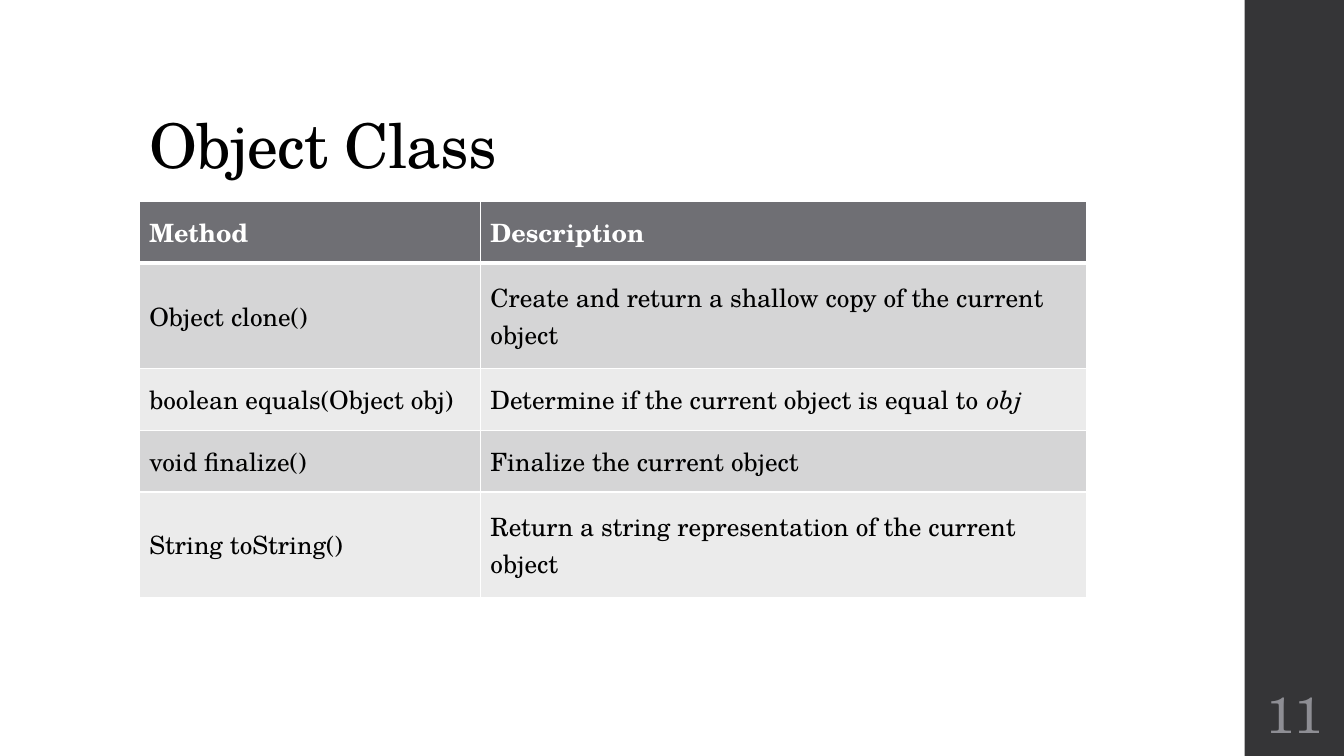
from lxml import etree
from pptx import Presentation
from pptx.dml.color import RGBColor
from pptx.enum import shapes, text
from pptx.oxml import ns
from pptx.util import Pt

FONT = "TeX Gyre Schola"
WHITE, BLACK, DARK, GRAY = "FFFFFF", "000000", "353537", "8E8E94"
HEADER, BANDS = "6F6F74", ("D5D5D6", "EBEBEB")

METHODS = [
    ("Method", "Description"),
    ("Object clone()", "Create and return a shallow copy of the current object"),
    ("boolean equals(Object obj)", "Determine if the current object is equal to\u00a0"),
    ("void finalize()", "Finalize the current object"),
    ("String toString()", "Return a string representation of the current object"),
]
ITALIC_ENDINGS = {(2, 1): "obj"}
COLUMN_SHARES = (0.36, 0.64)
ROW_HEIGHTS = (44, 75.5, 44, 44, 75.5)


def color(hex_string):
    return RGBColor.from_string(hex_string)


def format_runs(paragraph, size, hex_string, bold=False):
    for run in paragraph.runs:
        run.font.name = FONT
        run.font.size = Pt(size)
        run.font.bold = bold
        run.font.color.rgb = color(hex_string)


def set_borders(cell, bottom, top):
    properties = cell._tc.get_or_add_tcPr()
    for side, width in (("L", 1), ("R", 1), ("T", top), ("B", bottom)):
        line = etree.SubElement(properties, ns.qn(f"a:ln{side}"), w=str(Pt(width)))
        fill = etree.SubElement(line, ns.qn("a:solidFill"))
        etree.SubElement(fill, ns.qn("a:srgbClr"), val=WHITE)


def add_title(slide, left, top, width, height):
    title = slide.shapes.title
    title.left, title.top, title.width, title.height = map(Pt, (left, top, width, height))
    frame = title.text_frame
    frame.text = "Object Class"
    frame.auto_size = text.MSO_AUTO_SIZE.NONE
    frame.vertical_anchor = text.MSO_ANCHOR.BOTTOM
    paragraph = frame.paragraphs[0]
    paragraph.alignment = text.PP_ALIGN.LEFT
    paragraph.line_spacing = 0.9
    format_runs(paragraph, 44, BLACK)
    paragraph.runs[0].font._element.set("spc", "-50")


def add_method_table(slide, left, top, width):
    frame = slide.shapes.add_table(len(METHODS), len(COLUMN_SHARES), Pt(left), Pt(top),
                                   Pt(width), Pt(sum(ROW_HEIGHTS)))
    table = frame.table
    for column, share in zip(table.columns, COLUMN_SHARES):
        column.width = Pt(width * share)
    for row, height in zip(table.rows, ROW_HEIGHTS):
        row.height = Pt(height)

    for row_index, entries in enumerate(METHODS):
        is_header = row_index == 0
        for column_index, entry in enumerate(entries):
            cell = table.cell(row_index, column_index)
            cell.text_frame.text = entry
            cell.vertical_anchor = text.MSO_ANCHOR.MIDDLE
            paragraph = cell.text_frame.paragraphs[0]
            ending = ITALIC_ENDINGS.get((row_index, column_index))
            if ending:
                run = paragraph.add_run()
                run.text = ending
                run.font.italic = True
            format_runs(paragraph, 18, WHITE if is_header else BLACK, bold=is_header)
            set_borders(cell, bottom=3 if is_header else 1, top=3 if row_index == 1 else 1)
            cell.fill.solid()
            cell.fill.fore_color.rgb = color(HEADER if is_header else BANDS[(row_index - 1) % 2])


def add_sidebar(slide, left, top, width, height):
    # Dark band
    band = slide.shapes.add_shape(shapes.MSO_SHAPE.RECTANGLE, Pt(left), Pt(top),
                                  Pt(width), Pt(height))
    band.shadow.inherit = False
    band.fill.solid()
    band.fill.fore_color.rgb = color(DARK)
    band.line.fill.background()

    # Slide number near the foot of the band
    number = slide.shapes.add_textbox(Pt(left), Pt(top + height - 54), Pt(width), Pt(46.8))
    frame = number.text_frame
    frame.text = "11"
    frame.word_wrap = True
    frame.vertical_anchor = text.MSO_ANCHOR.MIDDLE
    frame.margin_left = frame.margin_right = frame.margin_top = frame.margin_bottom = Pt(3.6)
    frame.paragraphs[0].alignment = text.PP_ALIGN.CENTER
    format_runs(frame.paragraphs[0], 36, GRAY)


presentation = Presentation()
presentation.slide_width, presentation.slide_height = Pt(960), Pt(540)
slide = presentation.slides.add_slide(presentation.slide_layouts[5])
slide.background.fill.solid()
slide.background.fill.fore_color.rgb = color(WHITE)

add_sidebar(slide, 889, 0, 71, 540)
add_title(slide, 99.5, 28.8, 763, 104.4)
add_method_table(slide, 99.5, 144, 676.8)

presentation.save("out.pptx")
